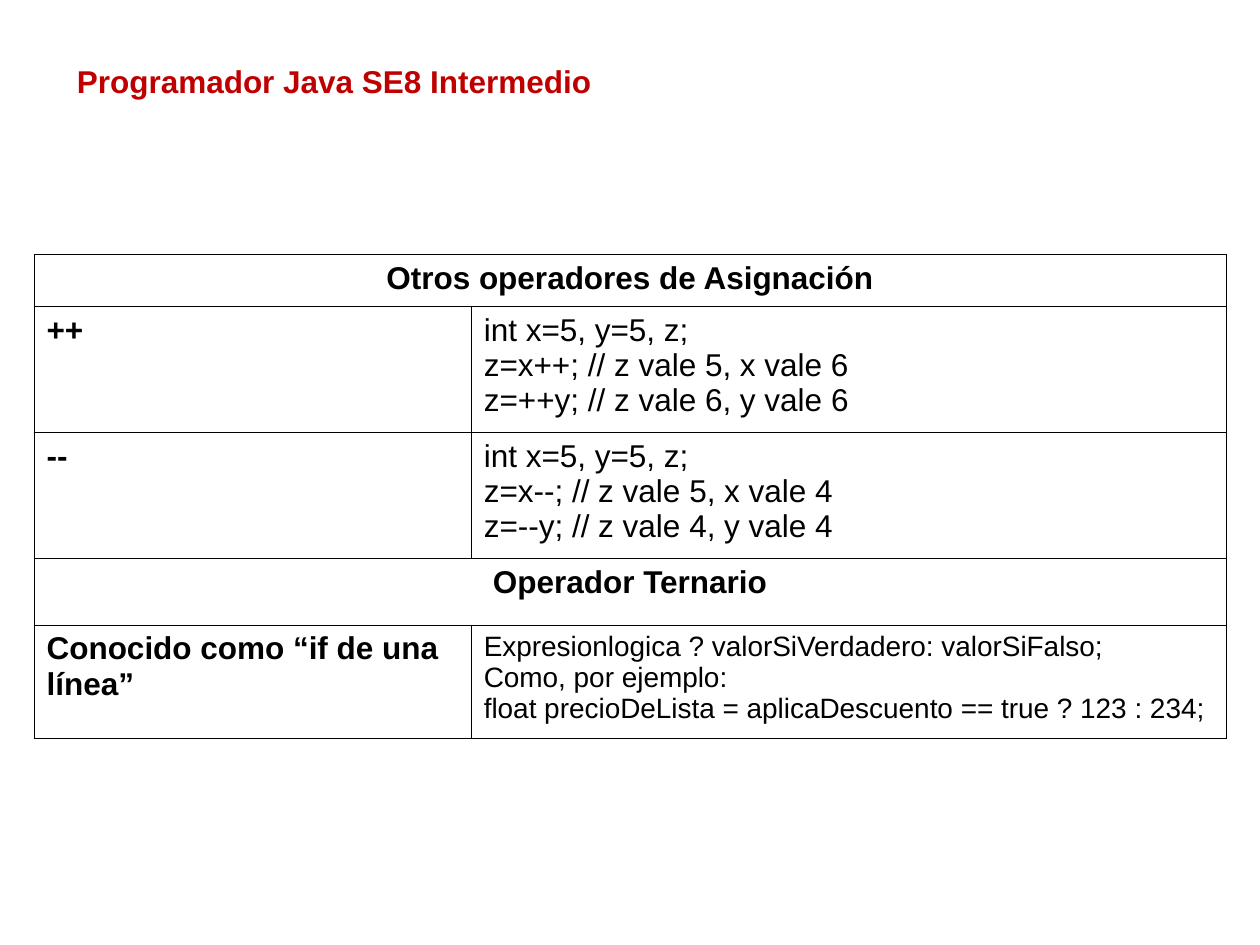
"""Build a slide with a table of Java increment, decrement and ternary operators."""
import pptx
import pptx.dml.color
import pptx.enum.text
import pptx.oxml
import pptx.oxml.ns
import pptx.util

Inches = pptx.util.Inches
ALIGN = pptx.enum.text.PP_ALIGN


def color(hex_code):
    return pptx.dml.color.RGBColor.from_string(hex_code)


def write(frame, text, size=18, bold=False, ink="000000", align=ALIGN.LEFT):
    frame.text = text
    for para in frame.paragraphs:
        para.alignment = align
        para.font.name = "Arial"
        para.font.size = pptx.util.Pt(size)
        para.font.bold = bold
        para.font.color.rgb = color(ink)


deck = pptx.Presentation()
deck.slide_width, deck.slide_height = Inches(10), Inches(7.5)
page = deck.slides.add_slide(deck.slide_layouts[5])

title = page.shapes.title
title.left, title.top = Inches(0.51), Inches(0.44)
title.width, title.height = Inches(4.65), Inches(0.4)
title.text_frame.vertical_anchor = pptx.enum.text.MSO_ANCHOR.TOP
title.text_frame.auto_size = pptx.enum.text.MSO_AUTO_SIZE.NONE
write(title.text_frame, "Programador Java SE8 Intermedio", bold=True, ink="C00000")

columns = [3.47, 5.99]
rows = [
    (0.41, 18, ["Otros operadores de Asignación"]),
    (1, 18, ["++", "int x=5, y=5, z;\nz=x++; // z vale 5, x vale 6\nz=++y; // z vale 6, y vale 6"]),
    (1, 18, ["--", "int x=5, y=5, z;\nz=x--; // z vale 5, x vale 4\nz=--y; // z vale 4, y vale 4"]),
    (0.53, 18, ["Operador Ternario"]),
    (0.9, 16, ["Conocido como “if de una línea”",
               "Expresionlogica ? valorSiVerdadero: valorSiFalso;\nComo, por ejemplo:\n"
               "float precioDeLista = aplicaDescuento == true ? 123 : 234;"]),
]
table = page.shapes.add_table(
    len(rows), len(columns), Inches(0.27), Inches(2.02),
    Inches(sum(columns)), Inches(sum(height for height, size, texts in rows))).table
table.first_row = table.horz_banding = False
for column, width in zip(table.columns, columns):
    column.width = Inches(width)

for index, (height, size, texts) in enumerate(rows):
    table.rows[index].height = Inches(height)
    heading = len(texts) == 1
    if heading:
        table.cell(index, 0).merge(table.cell(index, 1))
    for position, text in enumerate(texts):
        write(table.cell(index, position).text_frame, text,
              size=18 if position == 0 else size, bold=position == 0,
              align=ALIGN.CENTER if heading else ALIGN.LEFT)

for cell in table.iter_cells():
    for side in ("lnL", "lnR", "lnT", "lnB"):
        cell.fill.background()
        properties = cell._tc.get_or_add_tcPr()
        border = pptx.oxml.parse_xml(
            f'<a:{side} {pptx.oxml.ns.nsdecls("a")} w="{pptx.util.Pt(0.45)}">'
            f'<a:solidFill><a:srgbClr val="000000"/></a:solidFill></a:{side}>')
        properties.insert(len(properties) - 1, border)

deck.save("out.pptx")
